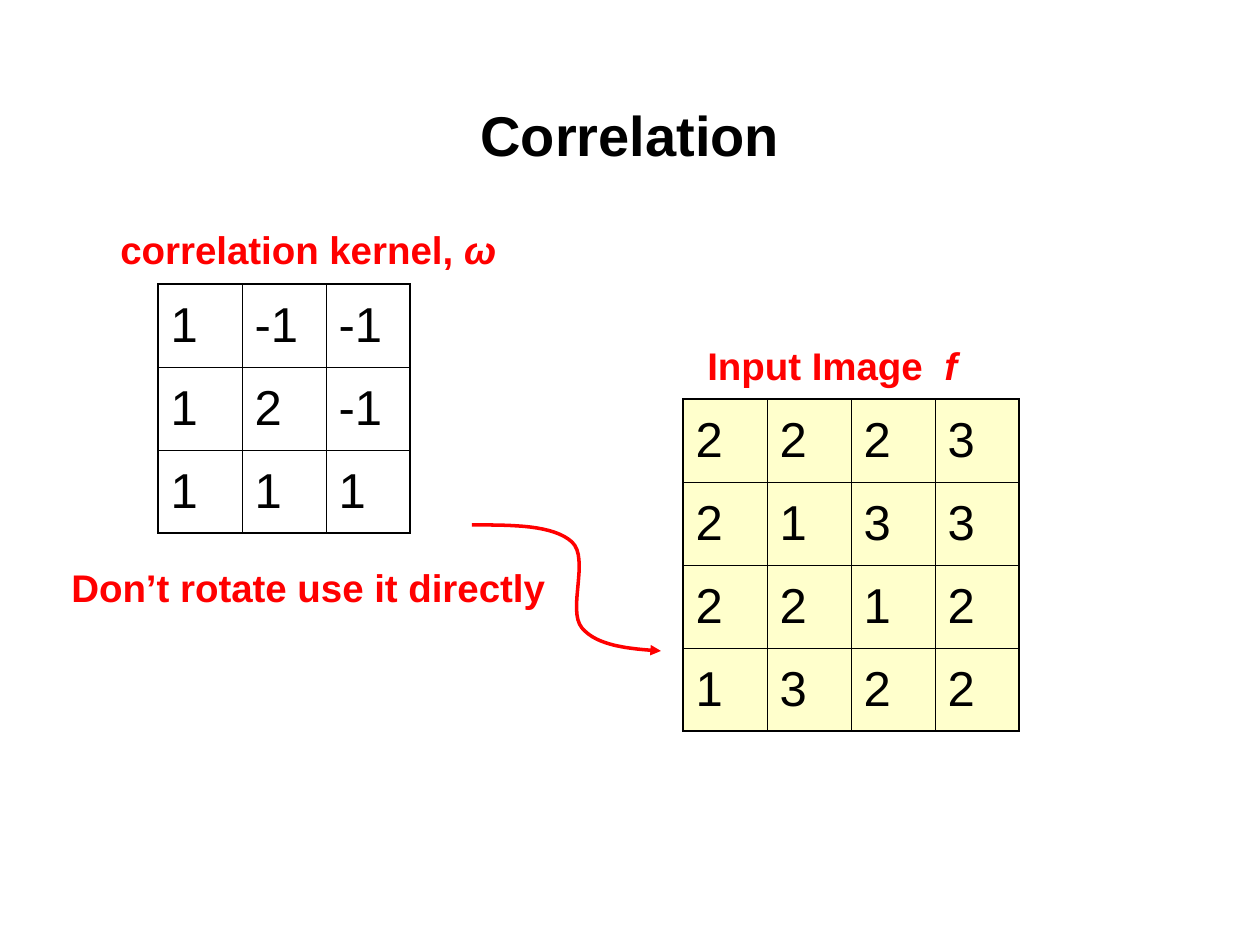
from lxml import etree
from pptx import Presentation
from pptx.dml.color import RGBColor
from pptx.enum.text import MSO_ANCHOR, MSO_AUTO_SIZE, PP_ALIGN
from pptx.oxml.ns import qn
from pptx.util import Emu, Pt

TOP, MIDDLE = MSO_ANCHOR.TOP, MSO_ANCHOR.MIDDLE
FIT_SHAPE = MSO_AUTO_SIZE.SHAPE_TO_FIT_TEXT
CENTER = PP_ALIGN.CENTER

PX = 7257.14
FONT = "Arial"
BLACK, RED, CREAM = "000000", "FF0000", "FFFFCC"
THICK, THIN = 1.08, 0.45
CELL_WIDTH, CELL_HEIGHT = 84, 83

TITLE = ("Correlation", (0, 94, 1260, 81))
KERNEL = [[1, -1, -1],
          [1, 2, -1],
          [1, 1, 1]]
INPUT = [[2, 2, 2, 3],
         [2, 1, 3, 3],
         [2, 2, 1, 2],
         [1, 3, 2, 2]]
GRIDS = [(KERNEL, (158, 284), None), (INPUT, (683, 399), CREAM)]
LABELS = [
    ((59, 558, 499, 59), [("Don’t rotate use it directly", False)]),
    ((108, 220, 401, 59), [("correlation kernel, ", False), ("ω", True)]),
    ((695, 336, 275, 59), [("Input Image  ", False), ("f", True)]),
]
ARROW_START = (472, 525)
ARROW_CURVES = [
    [(513, 525), (553, 525), (572, 542)],
    [(590, 559), (567, 610), (582, 628)],
    [(597, 646), (629, 649), (661, 651)],
]
CURVE_STEPS = 16


def px(*values):
    return [Emu(round(value * PX)) for value in values]


def color(hex_string):
    return RGBColor.from_string(hex_string)


def add_span(para, text, size, hex_string, bold=False, italic=False):
    span = para.add_run()
    span.text = text
    span.font.name = FONT
    span.font.size = Pt(size)
    span.font.bold = bold
    span.font.italic = italic
    span.font.color.rgb = color(hex_string)


def add_title(page, text, place):
    title = page.shapes.title
    title.left, title.top, title.width, title.height = px(*place)
    frame = title.text_frame
    frame.vertical_anchor = TOP
    frame.auto_size = FIT_SHAPE
    para = frame.paragraphs[0]
    para.alignment = CENTER
    para.space_before = Pt(20)
    add_span(para, text, 32, BLACK, bold=True)


def set_borders(cell, widths):
    properties = cell._tc.get_or_add_tcPr()
    for side, width in widths.items():
        line = etree.SubElement(properties, qn(f"a:ln{side}"), w=str(Pt(width)))
        fill = etree.SubElement(line, qn("a:solidFill"))
        etree.SubElement(fill, qn("a:srgbClr"), val=BLACK)


def add_grid(page, values, corner, fill):
    rows, columns = len(values), len(values[0])
    size = (columns * CELL_WIDTH, rows * CELL_HEIGHT)
    table = page.shapes.add_table(rows, columns, *px(*corner, *size)).table
    table.first_row = table.horz_banding = False
    for r, row in enumerate(values):
        for c, value in enumerate(row):
            cell = table.cell(r, c)
            outer = {"L": c == 0, "R": c == columns - 1, "T": r == 0, "B": r == rows - 1}
            set_borders(cell, {side: THICK if edge else THIN for side, edge in outer.items()})
            if fill:
                cell.fill.solid()
                cell.fill.fore_color.rgb = color(fill)
            else:
                cell.fill.background()
            cell.vertical_anchor = MIDDLE
            para = cell.text_frame.paragraphs[0]
            para.space_before = Pt(7)
            add_span(para, str(value), 28, BLACK)


def add_label(page, place, spans):
    frame = page.shapes.add_textbox(*px(*place)).text_frame
    frame.word_wrap = False
    frame.auto_size = FIT_SHAPE
    for text, italic in spans:
        add_span(frame.paragraphs[0], text, 22, RED, bold=True, italic=italic)


def bezier(points, t):
    weights = ((1 - t) ** 3, 3 * t * (1 - t) ** 2, 3 * t ** 2 * (1 - t), t ** 3)
    return tuple(sum(w * p[axis] for w, p in zip(weights, points)) for axis in (0, 1))


def add_curved_arrow(page, start, curves):
    builder = page.shapes.build_freeform(*px(*start), scale=1.0)
    for curve in curves:
        points = [start, *curve]
        steps = [bezier(points, step / CURVE_STEPS) for step in range(1, CURVE_STEPS + 1)]
        builder.add_line_segments([px(*point) for point in steps], close=False)
        start = curve[-1]
    arrow = builder.convert_to_shape()
    arrow.shadow.inherit = False
    arrow.fill.background()
    arrow.line.color.rgb = color(RED)
    arrow.line.width = Pt(2)
    etree.SubElement(arrow.line._get_or_add_ln(), qn("a:tailEnd"), type="triangle")


def main():
    deck = Presentation()
    deck.slide_width, deck.slide_height = px(1260, 945)
    page = deck.slides.add_slide(deck.slide_layouts[5])
    add_title(page, *TITLE)
    for grid in GRIDS:
        add_grid(page, *grid)
    add_curved_arrow(page, ARROW_START, ARROW_CURVES)
    for label in LABELS:
        add_label(page, *label)
    deck.save("out.pptx")


if __name__ == "__main__":
    main()
